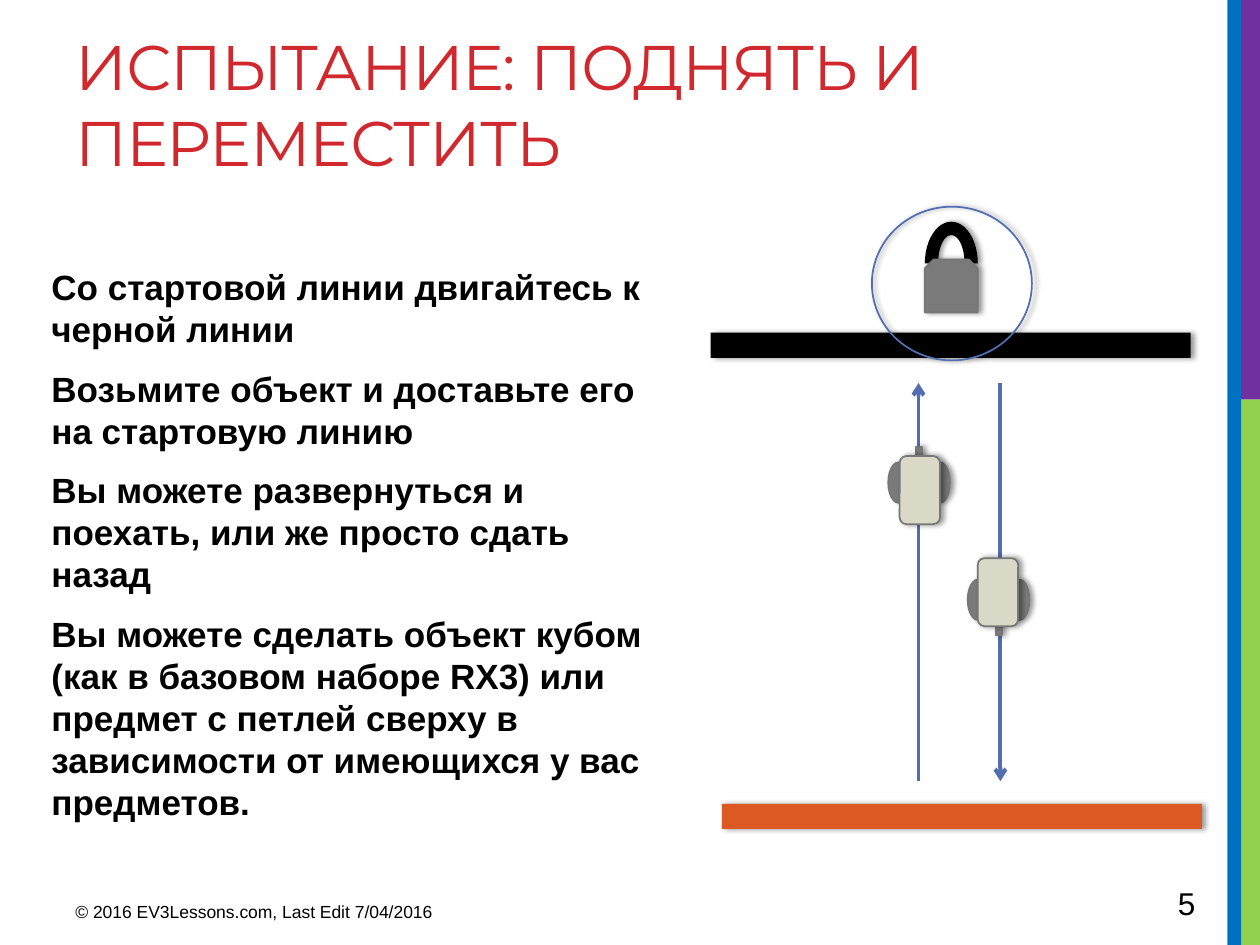
from lxml import etree
from pptx import Presentation
from pptx.dml.color import RGBColor
from pptx.enum.shapes import MSO_CONNECTOR, MSO_SHAPE as Shape
from pptx.oxml.ns import qn
from pptx.util import Inches, Pt

BLACK, GRAY, EDGE, BLUE = "000000", "7A7A7A", "777777", "526DB0"
STEPS = [
    "Со стартовой линии двигайтесь к черной линии",
    "Возьмите объект и доставьте его на стартовую линию",
    "Вы можете развернуться и поехать, или же просто сдать назад",
    "Вы можете сделать объект кубом (как в базовом наборе RX3) или "
    "предмет с петлей сверху в зависимости от имеющихся у вас предметов.",
]


def color(hex_text):
    return RGBColor.from_string(hex_text)


def add_shadow(shape):
    effects = shape._element.spPr.find(qn("a:effectLst"))
    shadow = etree.SubElement(
        effects, qn("a:outerShdw"), blurRad=str(Pt(3.1)), dist=str(Pt(1.8)),
        dir="0", rotWithShape="0")
    tint = etree.SubElement(shadow, qn("a:srgbClr"), val=BLACK)
    etree.SubElement(tint, qn("a:alpha"), val="40000")


def add_part(shapes, kind, box, fill=None, line=None, shadow=True):
    part = shapes.add_shape(kind, *map(Inches, box))
    part.shadow.inherit = False
    if fill:
        part.fill.solid()
        part.fill.fore_color.rgb = color(fill)
    else:
        part.fill.background()
    if line:
        part.line.color.rgb = color(line)
        part.line.width = Pt(1)
    else:
        part.line.fill.background()
    if shadow:
        add_shadow(part)
    return part


def add_text(page, box, lines, size, font="Arial", ink=BLACK, bold=False):
    frame = page.shapes.add_textbox(*map(Inches, box)).text_frame
    frame.word_wrap = True
    for index, line in enumerate(lines):
        para = frame.paragraphs[0] if index == 0 else frame.add_paragraph()
        para.text = line
        para.font.size = Pt(size)
        para.font.name = font
        para.font.bold = bold
        para.font.color.rgb = color(ink)
    return frame


def add_side_stripes(page, left, top, width, height):
    split = 3.17
    stripes = [
        ((left + 0.1, top + split, width - 0.1, height - split), "92D050"),
        ((left + 0.1, top, width - 0.1, split), "7030A0"),
        ((left, top, 0.11, height), "0070C0"),
    ]
    for box, fill in stripes:
        add_part(page.shapes, Shape.RECTANGLE, box, fill, shadow=False)


def add_title(page, box):
    frame = add_text(page, box, ["ИСПЫТАНИЕ: ПОДНЯТЬ И ПЕРЕМЕСТИТЬ"], 36,
                     "Montserrat", "D1282E")
    # Slightly tightened letters
    frame.paragraphs[0].runs[0].font._element.set("spc", "-60")


def add_steps(page, box):
    frame = add_text(page, box, STEPS, 20, bold=True)
    for index, para in enumerate(frame.paragraphs):
        para.space_before = Pt(4 if index else 0)
        para.space_after = Pt(6)


def add_padlock(page, left, top, width):
    add_part(page.shapes, Shape.BLOCK_ARC, (left, top, width, 0.66), BLACK)
    add_part(page.shapes, Shape.SNIP_2_SAME_RECTANGLE,
             (left, top + 0.3, width, width), GRAY, EDGE)


def add_arrow(page, x, start, end):
    arrow = page.shapes.add_connector(
        MSO_CONNECTOR.STRAIGHT, Inches(x), Inches(start), Inches(x), Inches(end))
    arrow.line.color.rgb = color(BLUE)
    arrow.line.width = Pt(2.25)
    etree.SubElement(arrow.line._get_or_add_ln(), qn("a:tailEnd"), type="arrow")
    etree.SubElement(arrow._element.spPr, qn("a:effectLst"))


def add_robot(page, left, top, width, height, facing_down=False):
    group = page.shapes.add_group_shape()
    parts = [
        (Shape.OVAL, (0, 0.12, 0.16, 0.32), GRAY),             # left wheel
        (Shape.OVAL, (width - 0.16, 0.12, 0.16, 0.32), GRAY),  # right wheel
        (Shape.RECTANGLE, (0.22, 0, 0.05, 0.14), GRAY),        # arm
        (Shape.ROUNDED_RECTANGLE, (0.09, 0.07, 0.32, 0.54), "DAD9C8"),  # body
    ]
    for kind, (x, y, w, h), fill in parts:
        if facing_down:
            x, y = width - x - w, height - y - h
        part = add_part(group.shapes, kind, (left + x, top + y, w, h), fill, EDGE)
        part.rotation = 180 if facing_down else 0


def add_course(page, left, top):
    bar_width, bar_height = 3.81, 0.2
    # Black target line and orange start line
    for x, y, fill in ((0, 1, BLACK), (0.09, 4.74, "DC5924")):
        add_part(page.shapes, Shape.RECTANGLE,
                 (left + x, top + y, bar_width, bar_height), fill)
    add_padlock(page, left + 1.7, top + 0.12, 0.42)

    # Way there and way back
    far, near = top + 1.4, top + 4.56
    add_arrow(page, left + 1.65, near, far)
    add_arrow(page, left + 2.3, far, near)
    add_part(page.shapes, Shape.OVAL, (left + 1.28, top, 1.27, 1.22), line=BLUE)
    add_robot(page, left + 1.41, top + 1.91, 0.49, 0.61)
    add_robot(page, left + 2.04, top + 2.79, 0.49, 0.61, facing_down=True)


def add_footer(page, left, top):
    add_text(page, (left, top + 0.13, 3.75, 0.31),
             ["© 2016 EV3Lessons.com, Last Edit 7/04/2016"], 10)
    add_text(page, (left + 8.75, top, 0.69, 0.4), ["5"], 18)


def main():
    deck = Presentation()
    deck.slide_width, deck.slide_height = Inches(10), Inches(7.5)
    page = deck.slides.add_slide(deck.slide_layouts[6])
    add_side_stripes(page, 9.74, 0, 0.26, 7.5)
    add_title(page, (0.5, 0.17, 9.02, 1.5))
    add_steps(page, (0.31, 2.06, 5.17, 4.37))
    add_footer(page, 0.5, 6.97)
    add_course(page, 5.64, 1.64)
    deck.save("out.pptx")


if __name__ == "__main__":
    main()
